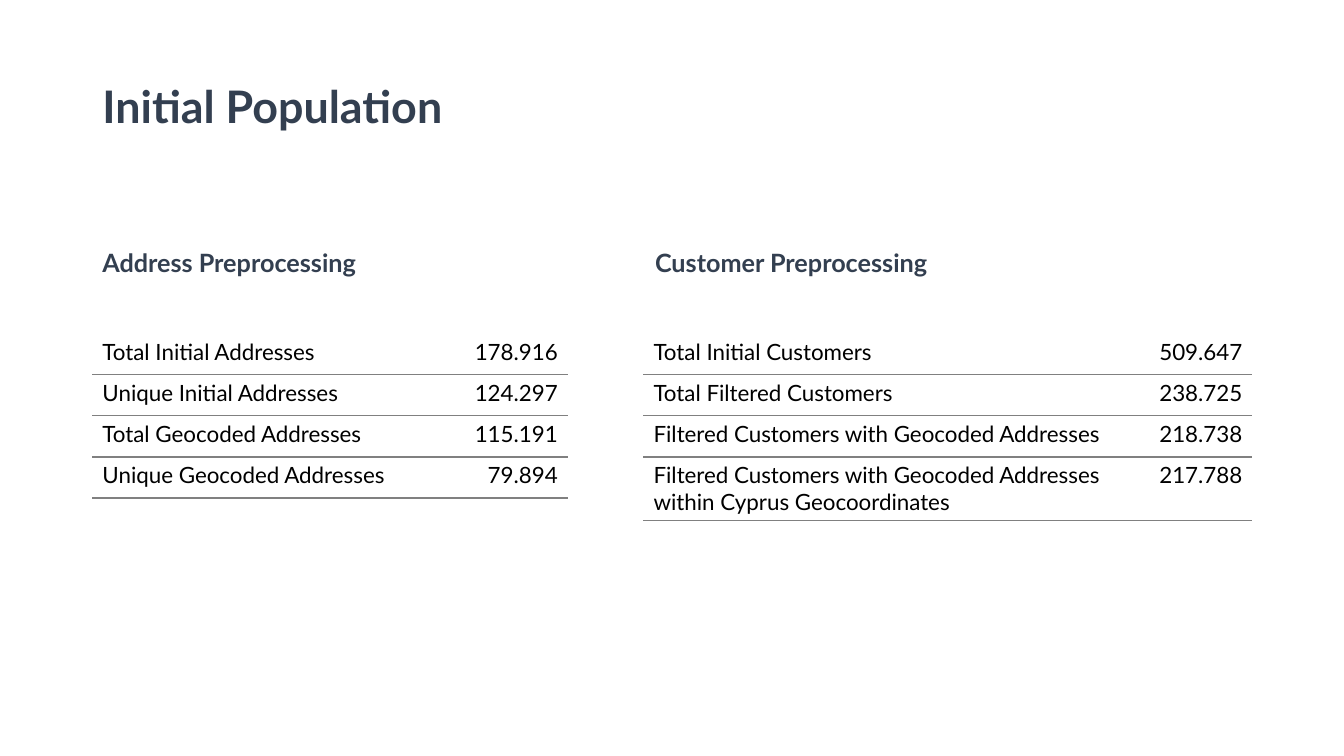
from lxml.etree import SubElement
from pptx import Presentation
from pptx.dml.color import RGBColor
from pptx.enum.text import MSO_ANCHOR as Anchor, MSO_AUTO_SIZE as AutoSize, PP_ALIGN as Align
from pptx.oxml.ns import qn
from pptx.util import Inches, Pt


def color(value):
    return RGBColor.from_string(value)


def write(tf, text, size=16, ink="000000", bold=False, align=Align.LEFT, font="Lato"):
    p = tf.paragraphs[0]
    p.alignment = align
    r = p.add_run()
    r.text = text
    r.font.name = font
    r.font.size = Pt(size)
    r.font.bold = bold
    r.font.color.rgb = color(ink)
    return p


class Deck:
    COLUMNS, ROWS = 160, 90
    HEADING = "333F50"
    RULE = "808080"

    def __init__(self, prs):
        self.prs = prs
        self.s = prs.slides.add_slide(prs.slide_layouts[5])

    def x(self, columns):
        return round(self.prs.slide_width * columns / self.COLUMNS)

    def y(self, rows):
        return round(self.prs.slide_height * rows / self.ROWS)

    def title(self, text, left, top, width, height):
        sp = self.s.shapes.title
        sp.left, sp.top = self.x(left), self.y(top)
        sp.width, sp.height = self.x(width), self.y(height)
        tf = sp.text_frame
        tf.word_wrap = True
        tf.auto_size = AutoSize.NONE
        tf.vertical_anchor = Anchor.MIDDLE
        p = write(tf, text, size=32, ink=self.HEADING, bold=True)
        p.line_spacing = 0.9

    def heading(self, text, left, top, width, height):
        sp = self.s.shapes.add_textbox(self.x(left), self.y(top), self.x(width), self.y(height))
        tf = sp.text_frame
        tf.word_wrap = True
        tf.auto_size = AutoSize.SHAPE_TO_FIT_TEXT
        write(tf, text, size=18, ink=self.HEADING, bold=True)

    def border(self, cell, edge, visible=True):
        tc_pr = cell._tc.get_or_add_tcPr()
        ln = SubElement(tc_pr, qn(f"a:{edge}"), w=str(Pt(1)))
        if visible:
            fill = SubElement(ln, qn("a:solidFill"))
            SubElement(fill, qn("a:srgbClr"), val=self.RULE)
        else:
            SubElement(ln, qn("a:noFill"))

    def table(self, data, left, top, widths, row_height):
        frame = self.s.shapes.add_table(
            len(data), len(widths), self.x(left), self.y(top),
            self.x(sum(widths)), self.y(row_height * len(data)))
        table = frame.table
        table.first_row = table.horz_banding = False
        for column, width in zip(table.columns, widths):
            column.width = self.x(width)
        for i, values in enumerate(data):
            table.rows[i].height = self.y(row_height)
            for j, value in enumerate(values):
                cell = table.cell(i, j)
                write(cell.text_frame, value, align=Align.RIGHT if j else Align.LEFT)
                for edge in ("lnL", "lnR"):
                    self.border(cell, edge, visible=False)
                self.border(cell, "lnT", visible=i > 0)
                self.border(cell, "lnB")
                cell.fill.background()


ADDRESSES = [
    ("Total Initial Addresses", "178.916"),
    ("Unique Initial Addresses", "124.297"),
    ("Total Geocoded Addresses", "115.191"),
    ("Unique Geocoded Addresses", "79.894"),
]
CUSTOMERS = [
    ("Total Initial Customers", "509.647"),
    ("Total Filtered Customers", "238.725"),
    ("Filtered Customers with Geocoded Addresses", "218.738"),
    ("Filtered Customers with Geocoded Addresses within Cyprus Geocoordinates", "217.788"),
]


def main():
    prs = Presentation()
    prs.slide_width, prs.slide_height = Inches(13.33), Inches(7.5)
    deck = Deck(prs)
    deck.title("Initial Population", 11, 6.7, 56.6, 12.6)
    sections = [
        ("Address Preprocessing", 11, ADDRESSES, 11, (40.4, 16.2)),
        ("Customer Preprocessing", 76.8, CUSTOMERS, 76.6, (56.5, 16)),
    ]
    for heading, heading_left, data, left, widths in sections:
        deck.heading(heading, heading_left, 28.8, 65.8, 4.8)
        deck.table(data, left, 39.7, widths, 4.9)
    prs.save("out.pptx")


if __name__ == "__main__":
    main()
